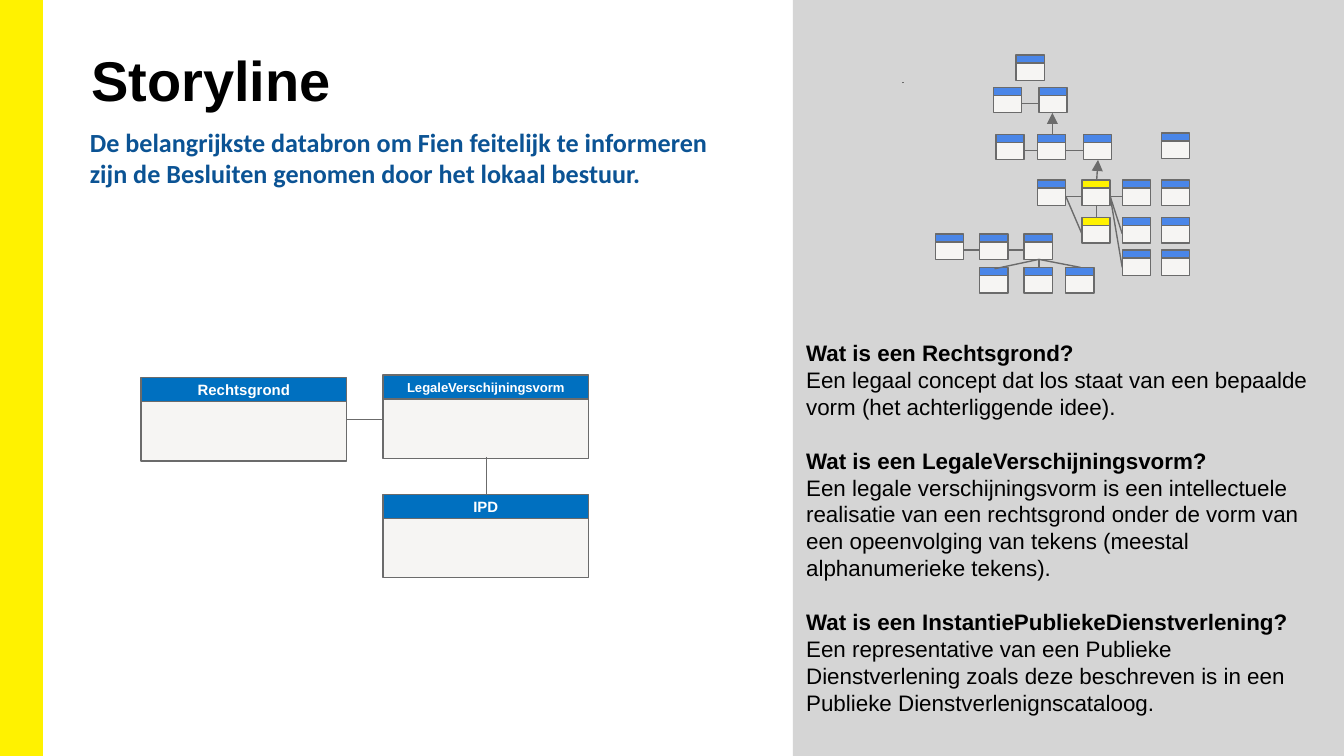
from lxml import etree
from pptx import Presentation
from pptx.dml.color import RGBColor
from pptx.enum.shapes import MSO_CONNECTOR, MSO_SHAPE
from pptx.enum.text import MSO_ANCHOR, PP_ALIGN
from pptx.oxml.ns import qn
from pptx.util import Inches, Pt

RECTANGLE = MSO_SHAPE.RECTANGLE
STRAIGHT = MSO_CONNECTOR.STRAIGHT
MIDDLE, BOTTOM = MSO_ANCHOR.MIDDLE, MSO_ANCHOR.BOTTOM
LEFT, CENTER = PP_ALIGN.LEFT, PP_ALIGN.CENTER

YELLOW, PANEL_GRAY = "FFF200", "D5D5D5"
BODY_GRAY, LINE_GRAY = "F6F5F3", "6B6B6B"
CLASS_BLUE, MINI_BLUE, TITLE_BLUE = "0070C0", "4A86E8", "0B5394"
BLACK, WHITE = "000000", "FFFFFF"

SLIDE_WIDTH = 10
SLIDE_HEIGHT = SLIDE_WIDTH * 9 / 16
LARGE_SIZE = (1.53, 0.18, 0.44)
MINI_SIZE = (0.21, 0.06, 0.13)
LINE_PITCH = Pt(14.4)

LARGE_CLASSES = [
    ("Rechtsgrond", 1.05, 2.81, 8),
    ("LegaleVerschijningsvorm", 2.85, 2.79, 7),
    ("IPD", 2.85, 3.68, 8),
]
LARGE_LINKS = [(2.58, 3.12, 2.85, 3.12), (3.62, 3.4, 3.62, 3.68)]

MINI_ROWS = [
    (0.41, [7.56], MINI_BLUE),
    (0.65, [7.39, 7.73], MINI_BLUE),
    (1.0, [7.41, 7.72, 8.06], MINI_BLUE),
    (0.99, [8.64], MINI_BLUE),
    (1.34, [7.72, 8.35, 8.64], MINI_BLUE),
    (1.34, [8.05], YELLOW),
    (1.62, [8.35, 8.64], MINI_BLUE),
    (1.62, [8.05], YELLOW),
    (1.86, [8.35, 8.64], MINI_BLUE),
    (1.74, [6.96, 7.29, 7.62], MINI_BLUE),
    (1.99, [7.29, 7.62, 7.93], MINI_BLUE),
]
MINI_LINKS = [
    (7.29, 1.86, 7.17, 1.86),
    (7.62, 1.86, 7.5, 1.86),
    (7.73, 1.93, 7.4, 2.0),
    (7.73, 1.93, 7.73, 1.99),
    (7.73, 1.93, 8.04, 1.99),
    (7.73, 0.77, 7.6, 0.77),
    (6.72, 0.62, 6.72, 0.61),
    (7.72, 1.12, 7.62, 1.12),
    (8.06, 1.12, 7.93, 1.12),
    (8.05, 1.46, 7.93, 1.46),
    (8.35, 1.46, 8.26, 1.46),
    (8.35, 1.74, 8.26, 1.46),
    (8.35, 1.99, 8.26, 1.46),
    (8.16, 1.62, 8.16, 1.53),
    (8.05, 1.74, 7.93, 1.46),
]
MINI_ARROWS = [(7.83, 1.0, 7.83, 0.84), (8.16, 1.34, 8.17, 1.19)]

DEFINITIONS = [
    ("Wat is een Rechtsgrond?",
     "Een legaal concept dat los staat van een bepaalde vorm (het achterliggende idee)."),
    ("Wat is een LegaleVerschijningsvorm?",
     "Een legale verschijningsvorm is een intellectuele realisatie van een rechtsgrond "
     "onder de vorm van een opeenvolging van tekens (meestal alphanumerieke tekens)."),
    ("Wat is een InstantiePubliekeDienstverlening?",
     "Een representative van een Publieke Dienstverlening zoals deze beschreven is in een "
     "Publieke Dienstverlenignscataloog."),
]


def color(value):
    """Return the colour for a hex string."""
    return RGBColor.from_string(value)


def set_margins(text_frame, left, top, right, bottom):
    """Set the inner margins of a text frame in inches."""
    text_frame.margin_left, text_frame.margin_top = Inches(left), Inches(top)
    text_frame.margin_right, text_frame.margin_bottom = Inches(right), Inches(bottom)


def write(paragraph, text, size, font_color, bold=True, name="Arial", align=LEFT):
    """Fill a paragraph and format its runs."""
    paragraph.text = text
    paragraph.alignment = align
    for run in paragraph.runs:
        run.font.name, run.font.size, run.font.bold = name, Pt(size), bold
        run.font.color.rgb = color(font_color)


def add_rectangle(shapes, left, top, width, height, fill, line=None, line_width=0.75):
    """Add a flat rectangle with an optional outline."""
    shape = shapes.add_shape(
        RECTANGLE, Inches(left), Inches(top), Inches(width), Inches(height))
    shape.shadow.inherit = False
    shape.fill.solid()
    shape.fill.fore_color.rgb = color(fill)
    if line:
        shape.line.color.rgb = color(line)
        shape.line.width = Pt(line_width)
    else:
        shape.line.fill.background()
    return shape


def add_text(slide, box, margins, text, size, font_color, name):
    """Add a wrapping text box with one bold paragraph."""
    shape = slide.shapes.add_textbox(*map(Inches, box))
    shape.text_frame.word_wrap = True
    set_margins(shape.text_frame, *margins)
    write(shape.text_frame.paragraphs[0], text, size, font_color, name=name)


def add_class(slide, left, top, dimensions, header_color):
    """Add a grouped class symbol and return its header."""
    width, header_height, body_height = dimensions
    group = slide.shapes.add_group_shape()
    add_rectangle(group.shapes, left, top + header_height, width, body_height,
                  BODY_GRAY, LINE_GRAY)
    return add_rectangle(group.shapes, left, top, width, header_height,
                         header_color, LINE_GRAY)


def add_named_class(slide, name, left, top, size):
    """Add a large class symbol with its name in the header."""
    text_frame = add_class(slide, left, top, LARGE_SIZE, CLASS_BLUE).text_frame
    text_frame.vertical_anchor = MIDDLE
    set_margins(text_frame, 0, 0, 0, 0)
    write(text_frame.paragraphs[0], name, size, WHITE, align=CENTER)


def add_link(slide, points, arrow=False):
    """Add a straight connector, with an arrowhead at its end if asked."""
    connector = slide.shapes.add_connector(STRAIGHT, *map(Inches, points))
    connector.line.color.rgb = color(LINE_GRAY)
    connector.line.width = Pt(0.75)
    if arrow:
        line = connector.line._get_or_add_ln()
        etree.SubElement(line, qn("a:tailEnd"), type="triangle")
    etree.SubElement(connector._element.spPr, qn("a:effectLst"))


def add_definitions(slide):
    """Add the gray panel with its questions and answers."""
    panel = add_rectangle(slide.shapes, 5.9, 0, 4.1, SLIDE_HEIGHT, PANEL_GRAY)
    text_frame = panel.text_frame
    text_frame.word_wrap = True
    text_frame.vertical_anchor = BOTTOM
    set_margins(text_frame, 0.1, 0.1, 0.1, 0.3)
    for index, (question, answer) in enumerate(DEFINITIONS):
        heading = text_frame.add_paragraph() if index else text_frame.paragraphs[0]
        if index:
            heading.space_before = LINE_PITCH
        explanation = text_frame.add_paragraph()
        write(heading, question, 12, BLACK)
        write(explanation, answer, 12, BLACK, bold=False)
        heading.line_spacing = explanation.line_spacing = LINE_PITCH


def main():
    """Build the storyline slide and save it."""
    presentation = Presentation()
    presentation.slide_width = Inches(SLIDE_WIDTH)
    presentation.slide_height = Inches(SLIDE_HEIGHT)
    slide = presentation.slides.add_slide(presentation.slide_layouts[6])

    add_rectangle(slide.shapes, 0, 0, 0.31, SLIDE_HEIGHT, YELLOW, YELLOW, 1)
    add_definitions(slide)
    add_text(slide, (0.61, 0.3, 8.97, 0.6), (0.07, 0.04, 0.07, 0.04),
             "Storyline", 30, BLACK, "Arial")
    add_text(slide, (0.57, 0.89, 5, 0.57), (0.1, 0.05, 0.1, 0.05),
             "De belangrijkste databron om Fien feitelijk te informeren "
             "zijn de Besluiten genomen door het lokaal bestuur.",
             14, TITLE_BLUE, "Calibri")

    for large_class in LARGE_CLASSES:
        add_named_class(slide, *large_class)
    for top, lefts, header_color in MINI_ROWS:
        for left in lefts:
            add_class(slide, left, top, MINI_SIZE, header_color)
    for points in LARGE_LINKS + MINI_LINKS:
        add_link(slide, points)
    for points in MINI_ARROWS:
        add_link(slide, points, arrow=True)

    presentation.save("out.pptx")


if __name__ == "__main__":
    main()
